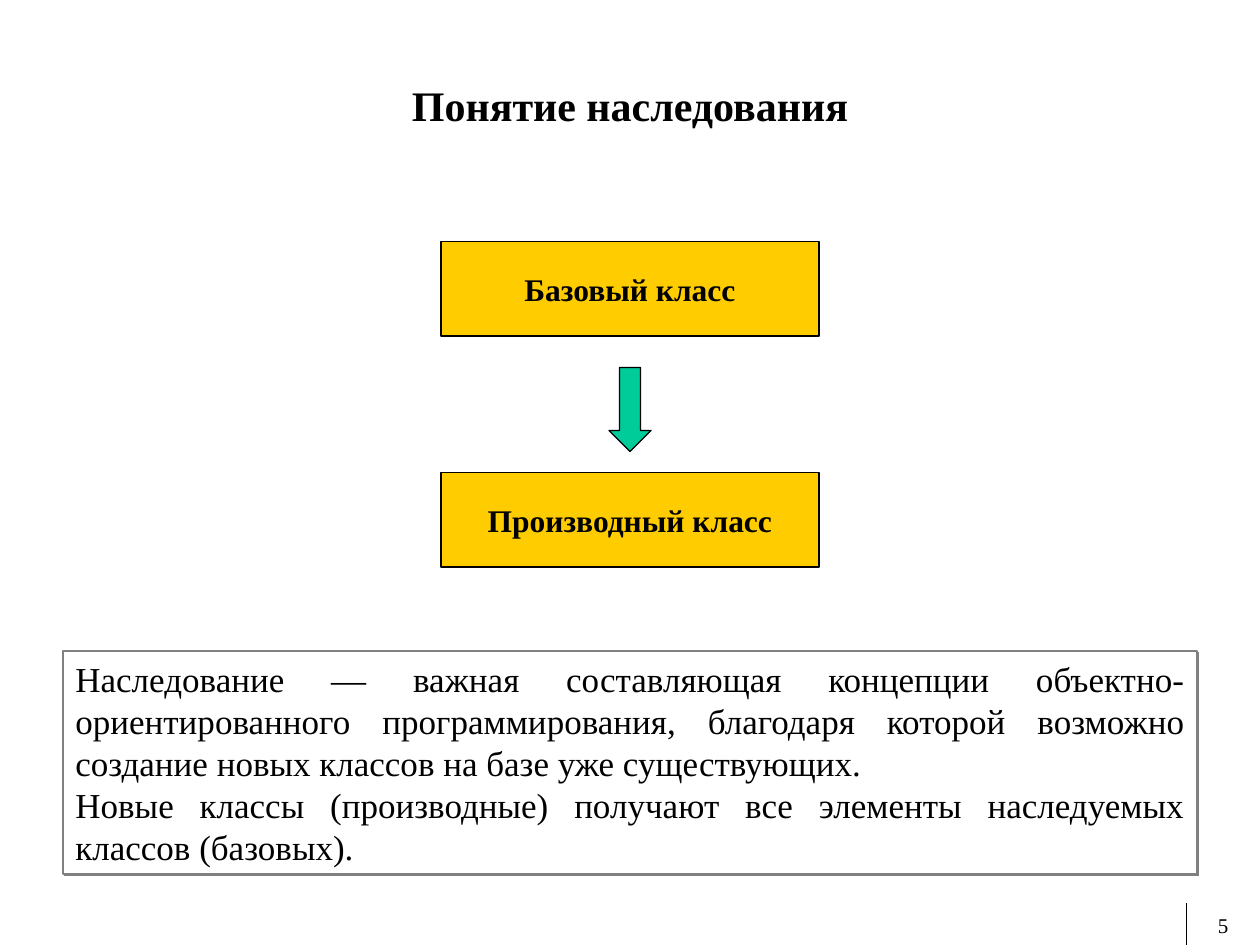
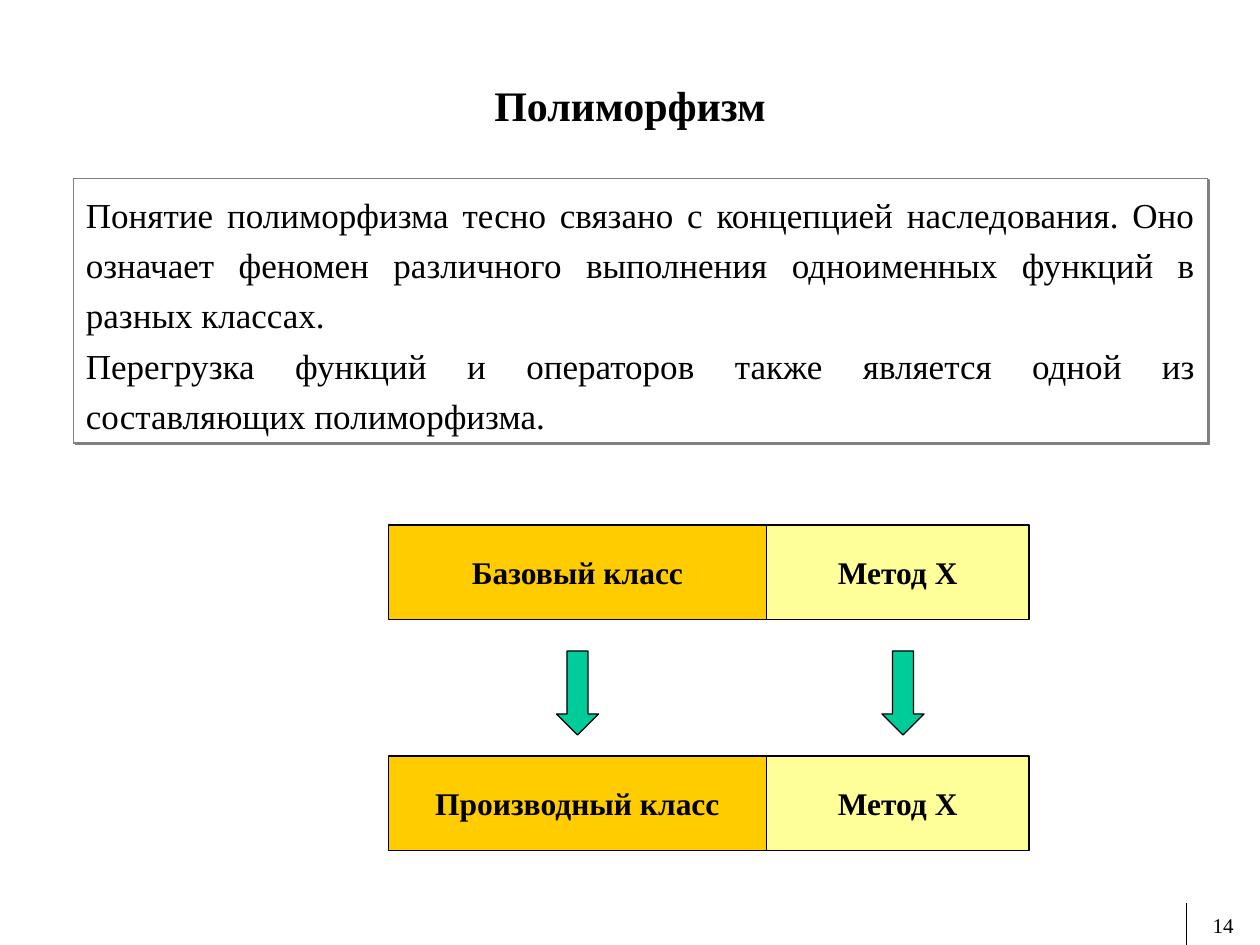
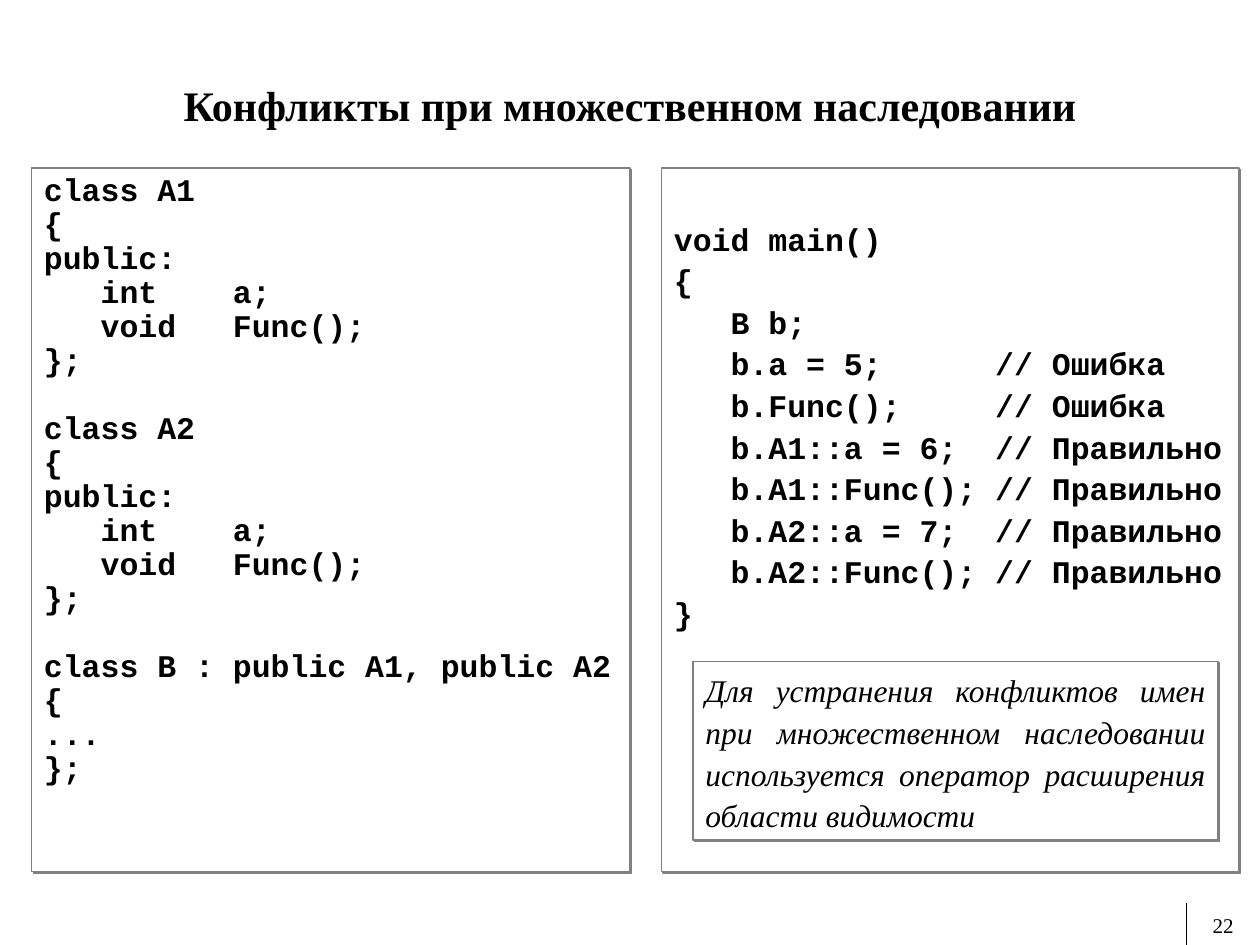
from lxml import etree
from pptx import Presentation
from pptx.dml.color import RGBColor
from pptx.enum.shapes import MSO_CONNECTOR, MSO_SHAPE
from pptx.enum.text import MSO_ANCHOR, PP_ALIGN
from pptx.oxml.ns import qn
from pptx.util import Pt

RECTANGLE, DOWN_ARROW = MSO_SHAPE.RECTANGLE, MSO_SHAPE.DOWN_ARROW
STRAIGHT = MSO_CONNECTOR.STRAIGHT
LEFT, CENTER, JUSTIFY = PP_ALIGN.LEFT, PP_ALIGN.CENTER, PP_ALIGN.JUSTIFY
TOP, MIDDLE = MSO_ANCHOR.TOP, MSO_ANCHOR.MIDDLE

COLORS = {
    "text": "000000",
    "outline": "000000",
    "panel": "FFFFFF",
    "panel_edge": "808080",
    "class": "FFCC00",
    "method": "FFFF99",
    "arrow": "00CC99",
}
BODY_FONT, CODE_FONT = "Times New Roman", "Courier New"
BOX_HEIGHT, CLASS_WIDTH, METHOD_WIDTH = 54, 216, 150
ARROW_WIDTH, ARROW_HEIGHT = 24, 48
ARROW_DROP, ROW_STEP = 72, 132  # from the top of the base class row
CODE_GAP = 19.4  # one code line

CLASS_A = """class {}
{{
public:
   int    a;
   void   Func();
}};"""
CLASS_B = """class B : public A1, public A2
{
...
};"""
MAIN_CODE = """void main()
{
   B b;
   b.a = 5;      // Ошибка
   b.Func();     // Ошибка
   b.A1::a = 6;  // Правильно
   b.A1::Func(); // Правильно
   b.A2::a = 7;  // Правильно
   b.A2::Func(); // Правильно
}"""


def rgb(name):
    return RGBColor.from_string(COLORS[name])


def write(shape, text, size, align=LEFT, anchor=TOP, font=BODY_FONT, bold=False,
          italic=False, spacing=1.0, insets=(7.2, 3.6), wrap=True):
    """Fill a shape with one paragraph per line and format it."""
    frame = shape.text_frame
    frame.text = text
    frame.word_wrap = wrap
    frame.vertical_anchor = anchor
    frame.margin_left = frame.margin_right = Pt(insets[0])
    frame.margin_top = frame.margin_bottom = Pt(insets[1])
    for paragraph in frame.paragraphs:
        paragraph.alignment = align
        paragraph.line_spacing = spacing
        for run in paragraph.runs:
            run.font.name, run.font.size = font, Pt(size)
            run.font.bold, run.font.italic = bold, italic
            run.font.color.rgb = rgb("text")


def add_figure(slide, kind, left, top, width, height, fill, edge="outline"):
    figure = slide.shapes.add_shape(kind, Pt(left), Pt(top), Pt(width), Pt(height))
    figure.shadow.inherit = False
    figure.fill.solid()
    figure.fill.fore_color.rgb = rgb(fill)
    figure.line.color.rgb = rgb(edge)
    figure.line.width = Pt(0.75)
    return figure


def add_panel(slide, left, top, width, height):
    """White box with a thin hard shadow to the lower right."""
    panel = add_figure(slide, RECTANGLE, left, top, width, height, "panel", "panel_edge")
    effects = panel._element.spPr.find(qn("a:effectLst"))
    shadow = etree.SubElement(effects, qn("a:outerShdw"), dist=str(Pt(1.4)),
                              dir=str(45 * 60000), algn="ctr", rotWithShape="0")
    etree.SubElement(shadow, qn("a:srgbClr"), val=COLORS["panel_edge"])
    return panel


def add_label_box(slide, text, left, top, width, fill):
    box = add_figure(slide, RECTANGLE, left, top, width, BOX_HEIGHT, fill)
    write(box, text, 18, CENTER, MIDDLE, bold=True, wrap=False)


def add_inheritance(slide, left, top, width, fill, labels, arrow_left):
    """Base box, derived box below it and the arrow between them."""
    for row, label in enumerate(labels):
        add_label_box(slide, label, left, top + row * ROW_STEP, width, fill)
    add_figure(slide, DOWN_ARROW, arrow_left, top + ARROW_DROP,
               ARROW_WIDTH, ARROW_HEIGHT, "arrow")


def add_class_pair(slide, left, top):
    add_inheritance(slide, left, top, CLASS_WIDTH, "class",
                    ("Базовый класс", "Производный класс"),
                    left + (CLASS_WIDTH - ARROW_WIDTH) / 2)


def add_text_box(slide, text, left, top, width, height, size, **style):
    box = slide.shapes.add_textbox(Pt(left), Pt(top), Pt(width), Pt(height))
    write(box, text, size, CENTER, **style)


def add_slide(prs, title, number):
    """Blank slide with the shared title, page number and footer rule."""
    slide = prs.slides.add_slide(prs.slide_layouts[6])
    add_text_box(slide, str(number), 678, 517.7, 42, 21.6, 12)
    rule = slide.shapes.add_connector(STRAIGHT, Pt(678), Pt(516), Pt(678), Pt(540))
    rule.line.color.rgb = rgb("outline")
    rule.line.width = Pt(0.75)
    etree.SubElement(rule._element.spPr, qn("a:effectLst"))
    add_text_box(slide, title, 30, 42, 660, 36, 24, anchor=MIDDLE, bold=True, insets=(0, 0))
    return slide


def inheritance_slide(prs):
    slide = add_slide(prs, "Понятие наследования", 5)
    definition = add_panel(slide, 36, 372, 648, 127.5)
    write(definition,
          "Наследование — важная составляющая концепции объектно-ориентированного "
          "программирования, благодаря которой возможно создание новых классов "
          "на базе уже существующих.\n"
          "Новые классы (производные) получают все элементы наследуемых классов (базовых).",
          20, JUSTIFY)
    add_class_pair(slide, 252, 138)


def polymorphism_slide(prs):
    slide = add_slide(prs, "Полиморфизм", 14)
    definition = add_panel(slide, 42, 102, 648, 151.2)
    write(definition,
          "Понятие полиморфизма тесно связано с концепцией наследования. Оно означает "
          "феномен различного выполнения одноименных функций в разных классах.\n"
          "Перегрузка функций и операторов также является одной из составляющих "
          "полиморфизма.",
          20, JUSTIFY, spacing=1.2)
    add_class_pair(slide, 222, 300)
    add_inheritance(slide, 222 + CLASS_WIDTH, 300, METHOD_WIDTH, "method",
                    ("Метод Х", "Метод Х"), 504)


def conflicts_slide(prs):
    slide = add_slide(prs, "Конфликты при множественном наследовании", 22)

    # Class declarations, set apart by paragraph spacing
    classes = add_panel(slide, 18, 96, 342, 402)
    declarations = [CLASS_A.format("A1"), CLASS_A.format("A2"), CLASS_B]
    write(classes, "\n".join(declarations), 18, font=CODE_FONT, bold=True, spacing=0.9)
    for paragraph in classes.text_frame.paragraphs[1:]:
        if paragraph.text.startswith("class"):
            paragraph.space_before = Pt(CODE_GAP)

    # Use of the classes
    usage = add_panel(slide, 378, 96, 330, 402)
    write(usage, MAIN_CODE, 18, font=CODE_FONT, bold=True, spacing=1.1, insets=(7.2, 27.4))

    # Advice
    advice = add_panel(slide, 396, 378, 300, 102)
    write(advice,
          "Для устранения конфликтов имен при множественном наследовании "
          "используется оператор расширения области видимости",
          18, JUSTIFY, italic=True, spacing=1.1)


def main():
    prs = Presentation()
    prs.slide_width, prs.slide_height = Pt(720), Pt(540)
    inheritance_slide(prs)
    polymorphism_slide(prs)
    conflicts_slide(prs)
    prs.save("out.pptx")


if __name__ == "__main__":
    main()
